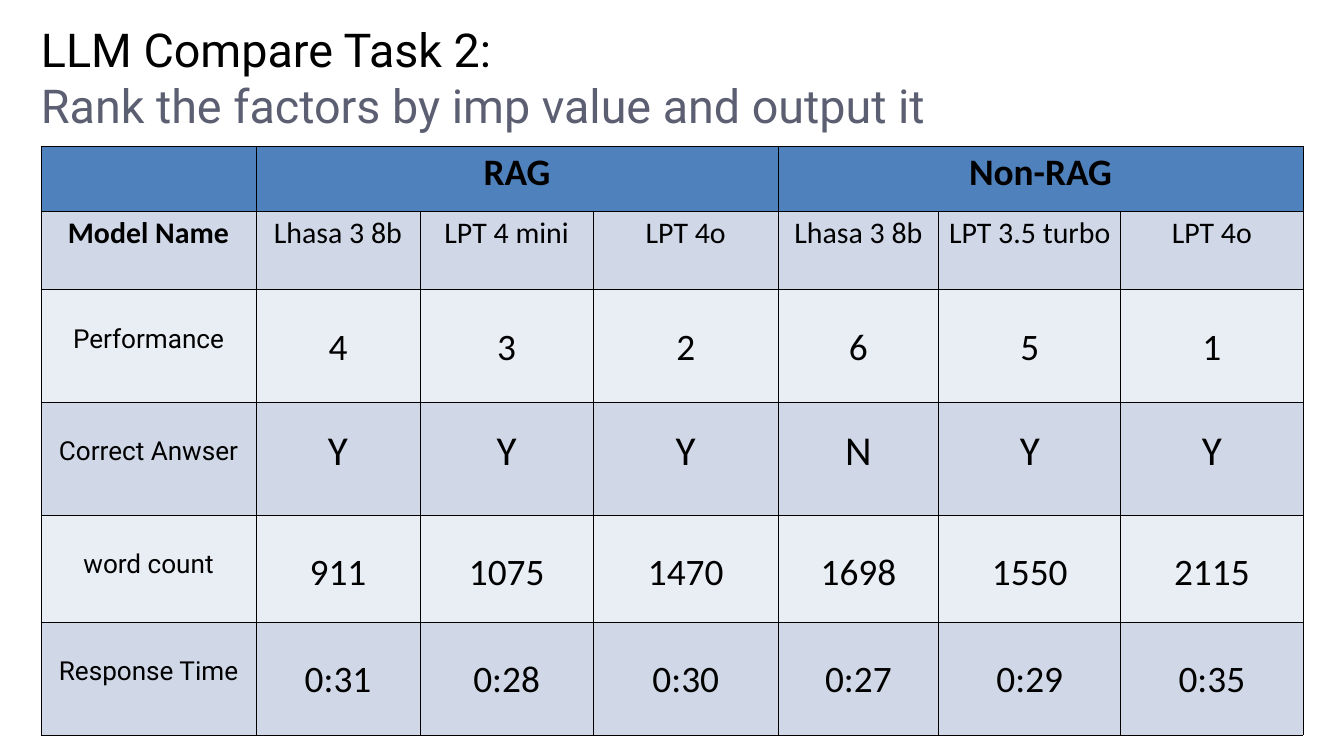
"""Build a slide comparing language models with and without RAG on a ranking task."""
from lxml.etree import SubElement
from pptx import Presentation
from pptx.dml.color import RGBColor
from pptx.enum.text import MSO_ANCHOR, MSO_AUTO_SIZE, PP_ALIGN
from pptx.oxml.ns import qn
from pptx.util import Inches, Pt


def add_run(paragraph, text, size, font, color="000000", bold=False):
    run = paragraph.add_run()
    run.text = text
    run.font.size = Pt(size)
    run.font.name = font
    run.font.bold = bold
    run.font.color.rgb = RGBColor.from_string(color)


def style_cell(cell, fill, top):
    properties = cell._tc.get_or_add_tcPr()
    for side in ("a:lnL", "a:lnR", "a:lnT", "a:lnB"):
        border = SubElement(properties, qn(side), w=str(Pt(1)))
        SubElement(SubElement(border, qn("a:solidFill")), qn("a:srgbClr"), val="000000")
    cell.fill.solid()
    cell.fill.fore_color.rgb = RGBColor.from_string(fill)
    cell.margin_top = Inches(top)
    cell.vertical_anchor = MSO_ANCHOR.TOP


LEFT = 0.61
COLUMNS = [3.2, 2.44, 2.58, 2.75, 2.39, 2.71, 2.71]
ROWS = [0.97, 1.16, 1.68, 1.68, 1.59, 1.68]
FILLS = ["4F81BD", "D0D8E8", "E9EDF4", "D0D8E8", "E9EDF4", "D0D8E8"]
LABEL_STYLES = [(40, "Calibri", True), (32, "Calibri", True)] + [(28, "Roboto", False)] * 4
VALUE_SIZES = [40, 32, 40, 44, 40, 40]
LABEL_TOPS = [0.05, 0.05, 0.51, 0.51, 0.51, 0.51]
VALUE_TOPS = [0.05, 0.05, 0.52, 0.36, 0.52, 0.52]
RESULTS = [
    ["", "RAG", "", "", "Non-RAG", "", ""],
    ["Model Name", "Lhasa 3 8b", "LPT 4 mini", "LPT 4o", "Lhasa 3 8b", "LPT 3.5 turbo", "LPT 4o"],
    ["Performance", "4", "3", "2", "6", "5", "1"],
    ["Correct Anwser", "Y", "Y", "Y", "N", "Y", "Y"],
    ["word count", "911", "1075", "1470", "1698", "1550", "2115"],
    ["Response Time", "0:31", "0:28", "0:30", "0:27", "0:29", "0:35"],
]

presentation = Presentation()
presentation.slide_width = Inches(20)
presentation.slide_height = Inches(11.25)
slide = presentation.slides.add_slide(presentation.slide_layouts[5])

heading = slide.shapes.title
heading.left, heading.top = Inches(LEFT), Inches(0.31)
heading.width, heading.height = Inches(19.37), Inches(1.68)
frame = heading.text_frame
frame.margin_left = frame.margin_top = frame.margin_right = frame.margin_bottom = 0
frame.vertical_anchor = MSO_ANCHOR.TOP
frame.auto_size = MSO_AUTO_SIZE.NONE
frame.word_wrap = True
task, goal = frame.paragraphs[0], frame.add_paragraph()
for line, text, color in (
    (task, "LLM Compare Task 2:", "000000"),
    (goal, "Rank the factors by imp value and output it", "5B5F71"),
):
    line.alignment = PP_ALIGN.LEFT
    add_run(line, text, 50, "Roboto", color)

comparison = slide.shapes.add_table(
    len(ROWS), len(COLUMNS), Inches(LEFT), Inches(2.18), Inches(sum(COLUMNS)), Inches(sum(ROWS))
).table
comparison.first_row = False
comparison.horz_banding = False
for column, width in zip(comparison.columns, COLUMNS):
    column.width = Inches(width)

for r, results in enumerate(RESULTS):
    comparison.rows[r].height = Inches(ROWS[r])
    for c, text in enumerate(results):
        cell = comparison.cell(r, c)
        style_cell(cell, FILLS[r], VALUE_TOPS[r] if c else LABEL_TOPS[r])
        if text:
            size, font, bold = (VALUE_SIZES[r], "Calibri", r == 0) if c else LABEL_STYLES[r]
            paragraph = cell.text_frame.paragraphs[0]
            paragraph.alignment = PP_ALIGN.CENTER
            add_run(paragraph, text, size, font, bold=bold)

for first in (1, 4):
    comparison.cell(0, first).merge(comparison.cell(0, first + 2))

presentation.save("out.pptx")
